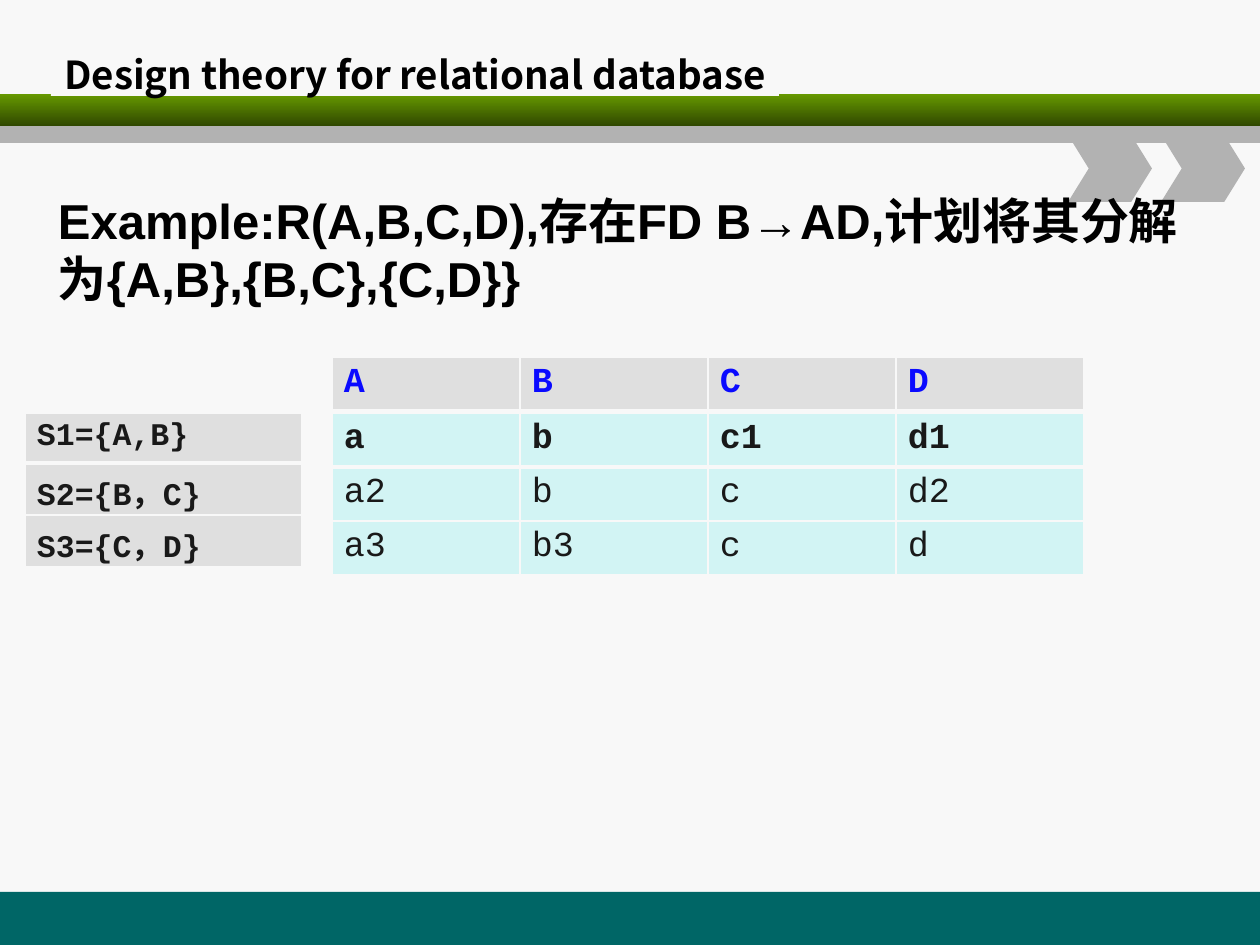
import pptx
import pptx.dml.color
import pptx.enum.shapes
import pptx.enum.text
import pptx.oxml
import pptx.oxml.ns
import pptx.util
import lxml.etree

RGBColor = pptx.dml.color.RGBColor
Shapes = pptx.enum.shapes.MSO_SHAPE
Align = pptx.enum.text.PP_ALIGN
Anchor = pptx.enum.text.MSO_ANCHOR

PAPER = RGBColor(0xF8, 0xF8, 0xF8)
TEAL = RGBColor(0x00, 0x66, 0x66)
GREEN = RGBColor(0x66, 0x99, 0x00)
DARK_GREEN = RGBColor(0x30, 0x48, 0x00)
GREY = RGBColor(0xB2, 0xB2, 0xB2)
LIGHT_GREY = RGBColor(0xDF, 0xDF, 0xDF)
PALE_CYAN = RGBColor(0xD2, 0xF4, 0xF4)
BLUE = RGBColor(0x0A, 0x0A, 0xFF)
INK = RGBColor(0x19, 0x19, 0x19)
BLACK = RGBColor(0, 0, 0)

SANS, MONO, CHINESE = "Arial", "Courier New", "Noto Sans CJK SC"
PX = 914400 // 126


class SlideBuilder:
    def __init__(self, slide):
        self.slide = slide
        slide.background.fill.solid()
        slide.background.fill.fore_color.rgb = PAPER

    def add_span(self, para, text, size, font, color, bold=True):
        span = para.add_run()
        span.text = text
        span.font.size = pptx.util.Pt(size)
        span.font.name = font
        span.font.bold = bold
        span.font.color.rgb = color
        east_asian = pptx.oxml.ns.qn("a:ea")
        span.font._element.find(pptx.oxml.ns.qn("a:latin")).addnext(
            lxml.etree.Element(east_asian, typeface=CHINESE))

    def shape(self, kind, left, top, width, height, color):
        shape = self.slide.shapes.add_shape(
            kind, left * PX, top * PX, width * PX, height * PX)
        shape.shadow.inherit = False
        shape.line.fill.background()
        shape.fill.solid()
        shape.fill.fore_color.rgb = color
        return shape

    def gradient_band(self, left, top, width, height, first, last):
        band = self.shape(Shapes.RECTANGLE, left, top, width, height, first)
        band.fill.gradient()
        band.fill.gradient_angle = 270
        for stop, color, position in zip(band.fill.gradient_stops, (first, last), (0, 1)):
            stop.color.rgb = color
            stop.position = position

    def placeholder(self, box, left, top, width, height, anchor, align):
        """Place a template placeholder in front and return its plain paragraph."""
        box.left, box.top = left * PX, top * PX
        box.width, box.height = width * PX, height * PX
        self.slide.shapes._spTree.append(box._element)
        frame = box.text_frame
        frame.auto_size = pptx.enum.text.MSO_AUTO_SIZE.NONE
        frame.vertical_anchor = anchor
        frame.margin_left = frame.margin_right = 12 * PX
        frame.margin_top = frame.margin_bottom = 5 * PX
        para = frame.paragraphs[0]
        properties = para._p.get_or_add_pPr()
        properties.set("marL", "0")
        properties.set("indent", "0")
        lxml.etree.SubElement(properties, pptx.oxml.ns.qn("a:buNone"))
        para.alignment = align
        para.space_before = pptx.util.Pt(0)
        return para

    def title(self, text, *bounds):
        box = self.slide.shapes.title
        para = self.placeholder(box, *bounds, Anchor.MIDDLE, Align.CENTER)
        box.text_frame.word_wrap = False
        box.fill.solid()
        box.fill.fore_color.rgb = PAPER
        self.add_span(para, text, 22, CHINESE, BLACK)

    def body(self, text, *bounds):
        box = self.slide.placeholders[1]
        para = self.placeholder(box, *bounds, Anchor.TOP, Align.LEFT)
        box.text_frame.word_wrap = True
        self.add_span(para, text, 28, SANS, BLACK)

    def borders(self, cell, bottom):
        properties = cell._tc.get_or_add_tcPr()
        for side, width in (("L", 1), ("R", 1), ("T", 1), ("B", bottom)):
            properties.append(pptx.oxml.parse_xml(
                f'<a:ln{side} {pptx.oxml.ns.nsdecls("a")} w="{pptx.util.Pt(width)}">'
                f'<a:solidFill><a:srgbClr val="{PAPER}"/></a:solidFill></a:ln{side}>'))

    def table(self, rows, left, top, column_width, heights, fill, size, color,
              bold_rows, bottom_margin=6):
        columns = len(rows[0])
        table = self.slide.shapes.add_table(
            len(rows), columns, left * PX, top * PX,
            columns * column_width * PX, sum(heights) * PX).table
        table.first_row = table.horz_banding = False
        for column in table.columns:
            column.width = column_width * PX
        for i, (values, height) in enumerate(zip(rows, heights)):
            table.rows[i].height = height * PX
            for j, value in enumerate(values):
                cell = table.cell(i, j)
                self.borders(cell, 3 if i == 0 else 1)
                cell.fill.solid()
                cell.fill.fore_color.rgb = fill
                cell.margin_left = cell.margin_right = 12 * PX
                cell.margin_top = 6 * PX
                cell.margin_bottom = bottom_margin * PX
                para = cell.text_frame.paragraphs[0]
                para.alignment = Align.LEFT
                self.add_span(para, value, size, MONO, color, i < bold_rows)


def main():
    deck = pptx.Presentation()
    deck.slide_width, deck.slide_height = 1260 * PX, 945 * PX
    page = SlideBuilder(deck.slides.add_slide(deck.slide_layouts[1]))

    page.shape(Shapes.RECTANGLE, 0, 892, 1260, 53, TEAL)
    page.gradient_band(0, 94, 1260, 32, GREEN, DARK_GREEN)
    page.shape(Shapes.RECTANGLE, 0, 126, 1260, 17, GREY)
    for left in (1068, 1161):
        chevron = page.shape(Shapes.CHEVRON, left, 135, 84, 67, GREY)
        chevron.adjustments[0] = 0.31

    page.title("Design theory for relational database", 51, 53, 728, 43)
    page.body("Example:R(A,B,C,D),存在FD B→AD,计划将其分解为{A,B},{B,C},{C,D}}",
              46, 185, 1157, 129)

    page.table([["a", "b", "c1", "d1"], ["a2", "b", "c", "d2"], ["a3", "b3", "c", "d"]],
               332, 413, 188, [54, 54, 54], PALE_CYAN, 20, INK, bold_rows=1)
    page.table([["A", "B", "C", "D"]],
               332, 357, 188, [54], LIGHT_GREY, 20, BLUE, bold_rows=1)
    page.table([["S1={A,B}"], ["S2={B，C}"], ["S3={C，D}"]],
               25, 413, 277, [50, 51, 51], LIGHT_GREY, 18, INK, bold_rows=3,
               bottom_margin=0)
    deck.save("out.pptx")


if __name__ == "__main__":
    main()
